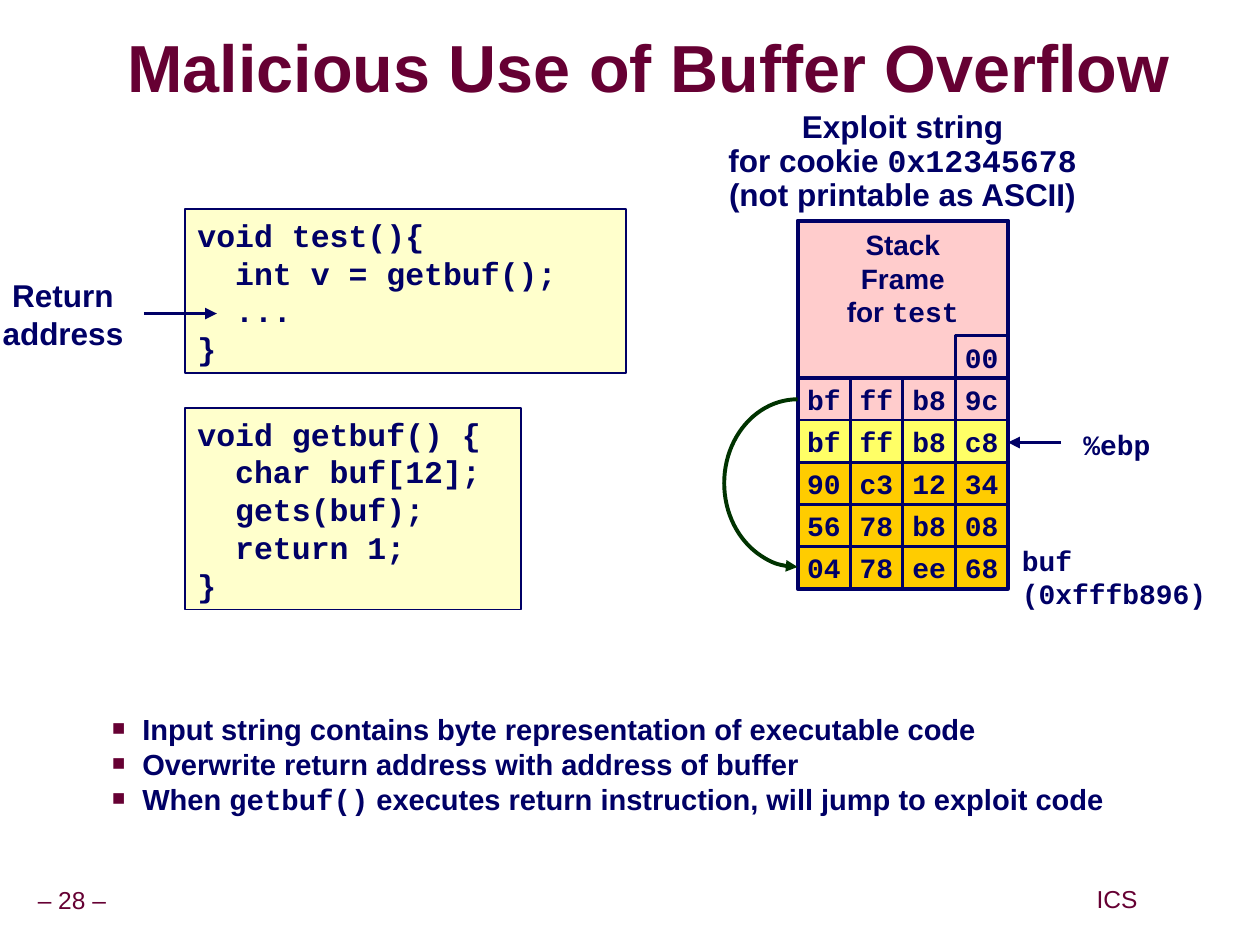
"""Build the slide on malicious use of a buffer overflow."""
from lxml.etree import SubElement
from pptx import Presentation
from pptx.dml.color import RGBColor
from pptx.enum.shapes import MSO_CONNECTOR as CONN, MSO_SHAPE as SHAPE
from pptx.enum.text import MSO_ANCHOR as ANCHOR, PP_ALIGN as ALIGN
from pptx.oxml.ns import qn
from pptx.util import Cm, Pt

NAVY, MAROON, GREEN, GRAY = "000066", "660033", "003300", "969696"
CREAM, PINK, YELLOW, ORANGE = "FFFFCC", "FFCCCC", "FFFF66", "FFCC00"
SANS, MONO = "Arial", "Courier New"


def rgb(value):
    return RGBColor.from_string(value)


class Builder:
    def __init__(self, slide):
        self.s = slide

    def set_text(self, sp, lines, size=16, color=NAVY, bold=True, align=ALIGN.LEFT,
                 anchor=ANCHOR.TOP, inset=(0.25, 0.13), spacing=None, font=SANS):
        tf = sp.text_frame
        tf.word_wrap = True
        tf.vertical_anchor = anchor
        tf.margin_left = tf.margin_right = Cm(inset[0])
        tf.margin_top = tf.margin_bottom = Cm(inset[1])
        tf.text = "\n".join(lines)
        for p, line in zip(tf.paragraphs, lines):
            p.alignment = align
            p.line_spacing = spacing
            plain, *rest = line.split("`")
            p.text = plain
            for part in filter(None, rest):
                p.add_run().text = part
            for i, r in enumerate(p.runs):
                r.font.size, r.font.bold = Pt(size), bold
                r.font.name = MONO if i % 2 else font
                r.font.color.rgb = rgb(color)
        return sp

    def text(self, x, y, w, h, lines, **style):
        sp = self.s.shapes.add_textbox(Cm(x), Cm(y), Cm(w), Cm(h))
        return self.set_text(sp, lines, **style)

    def title(self, x, y, w, h, line):
        sp = self.text(x, y, w, h, [line], size=38, color=MAROON,
                       anchor=ANCHOR.MIDDLE, inset=(0, 0), spacing=0.87)
        rPr = sp.text_frame.paragraphs[0].runs[0]._r.get_or_add_rPr()
        effects = SubElement(rPr, qn("a:effectLst"))
        rPr.find(qn("a:solidFill")).addnext(effects)
        shadow = SubElement(effects, qn("a:outerShdw"), dist="53882", dir="2700000")
        SubElement(shadow, qn("a:srgbClr"), val=GRAY)

    def bullets(self, x, y, w, h, lines):
        sp = self.text(x, y, w, h, lines, size=16.6, spacing=0.7)
        for i, p in enumerate(sp.text_frame.paragraphs):
            if i:
                p.space_before = Pt(6)
            pPr = p._p.get_or_add_pPr()
            pPr.set("marL", str(Cm(1.55)))
            pPr.set("indent", str(Cm(-0.61)))
            SubElement(SubElement(pPr, qn("a:buClr")), qn("a:srgbClr"), val=MAROON)
            SubElement(pPr, qn("a:buSzPct"), val="75000")
            SubElement(pPr, qn("a:buFont"), typeface=SANS)
            SubElement(pPr, qn("a:buChar"), char="■")

    def shape(self, kind, x, y, w, h, fill=None, line=NAVY, width=1.5):
        sp = self.s.shapes.add_shape(kind, Cm(x), Cm(y), Cm(w), Cm(h))
        sp.shadow.inherit = False
        if fill:
            sp.fill.solid()
            sp.fill.fore_color.rgb = rgb(fill)
        else:
            sp.fill.background()
        sp.line.color.rgb, sp.line.width = rgb(line), Pt(width)
        return sp

    def box(self, x, y, w, h, lines=(), fill=None, width=1.5, **style):
        sp = self.shape(SHAPE.RECTANGLE, x, y, w, h, fill, width=width)
        if lines:
            self.set_text(sp, lines, **style)

    def cell(self, x, y, w, h, value):
        self.box(x, y, w, h, [value], font=MONO, align=ALIGN.CENTER,
                 anchor=ANCHOR.MIDDLE, inset=(0, 0))

    def arrow(self, x1, x2, y):
        c = self.s.shapes.add_connector(CONN.STRAIGHT, Cm(x1), Cm(y), Cm(x2), Cm(y))
        c.line.color.rgb, c.line.width = rgb(NAVY), Pt(2.25)
        self.arrowhead(c, "a:tailEnd")
        SubElement(c._element.spPr, qn("a:effectLst"))

    def arc_arrow(self, x, y, w, h):
        sp = self.shape(SHAPE.ARC, x, y, w, h, line=GREEN, width=2.25)
        sp.adjustments[0], sp.adjustments[1] = 54, 162
        self.arrowhead(sp, "a:headEnd")

    def arrowhead(self, sp, end):
        SubElement(sp._element.spPr.find(qn("a:ln")), qn(end), type="triangle")


def draw_stack(b):
    x, top, first, cw, ch = 16.08, 4.46, 7.62, 1.06, 0.85
    w = 4 * cw
    rows = ["bf ff b8 9c", "bf ff b8 c8", "90 c3 12 34", "56 78 b8 08", "04 78 ee 68"]
    for start, count, fill in [(0, 1, PINK), (1, 1, YELLOW), (2, 3, ORANGE)]:
        b.box(x, first + start * ch, w, count * ch, fill=fill)
    b.box(x, top, w, first - top, ["Stack", "Frame", "for `test"], fill=PINK,
          width=2.25, align=ALIGN.CENTER)
    b.box(x, top, w, first + len(rows) * ch - top, width=2.25)
    for i, row in enumerate(rows):
        for j, value in enumerate(row.split()):
            b.cell(x + j * cw, first + i * ch, cw, ch, value)
    b.cell(x + 3 * cw, first - ch, cw, ch, "00")
    b.arc_arrow(14.6, 8.05, 2.96, 3.38)


def main():
    prs = Presentation()
    prs.slide_width, prs.slide_height = Cm(25.4), Cm(19.05)
    b = Builder(prs.slides.add_slide(prs.slide_layouts[6]))
    footer = dict(size=14, color=MAROON, bold=False, align=ALIGN.CENTER,
                  anchor=ANCHOR.MIDDLE, inset=(0.13, 0.13), spacing=0.9)
    b.text(0.2, 17.78, 2.5, 0.79, ["– 28 –"], **footer)
    b.text(21.72, 17.76, 1.6, 0.79, ["ICS"], **footer)
    b.title(2.57, 0.64, 21.9, 1.6, "Malicious Use of Buffer Overflow")
    b.bullets(1.07, 14.4, 22.94, 2.1, [
        "Input string contains byte representation of executable code",
        "Overwrite return address with address of buffer",
        "When `getbuf()` executes return instruction, will jump to exploit code"])
    draw_stack(b)
    b.text(14.55, 2.11, 7.29, 2.31,
           ["Exploit string", "for cookie `0x12345678", "(not printable as ASCII)"],
           size=18, align=ALIGN.CENTER, inset=(0.13, 0.13), spacing=0.9)
    b.text(20.35, 10.82, 4.6, 1.63, ["buf", "(0xfffb896)"], font=MONO)
    b.text(21.59, 8.48, 2.2, 0.94, ["%ebp"], font=MONO)
    b.arrow(21.39, 20.32, 8.92)
    code = dict(fill=CREAM, width=1, size=18, font=MONO)
    b.box(3.73, 8.23, 6.78, 4.06, ["void getbuf() {", "  char buf[12];", "  gets(buf);",
                                   "  return 1;", "}"], **code)
    b.box(3.73, 4.22, 8.89, 3.3, ["void test(){", "  int v = getbuf();",
                                  "  ...", "}"], **code)
    b.text(0, 5.44, 2.54, 1.78, ["Return", "address"], size=18, align=ALIGN.CENTER,
           anchor=ANCHOR.MIDDLE, inset=(0, 0.13))
    b.arrow(2.9, 4.37, 6.32)
    prs.save("out.pptx")


if __name__ == "__main__":
    main()
